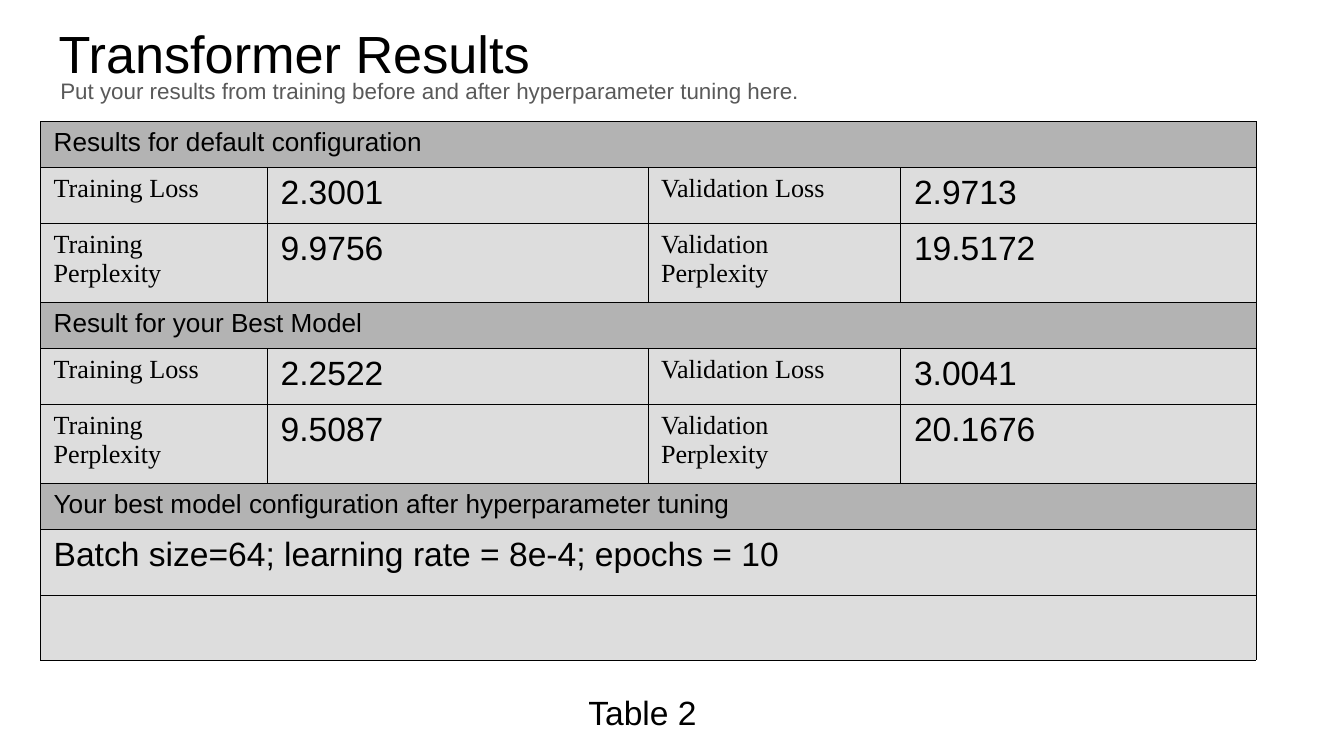
from dataclasses import dataclass

import pptx
import pptx.dml.color
import pptx.enum.text
import pptx.oxml
import pptx.oxml.ns
import pptx.util

Cm = pptx.util.Cm
RGB = pptx.dml.color.RGBColor.from_string


@dataclass(frozen=True)
class Theme:
    ink: str = "000000"
    muted: str = "595959"
    band: str = "B3B3B3"
    cell: str = "DDDDDD"
    sans: str = "Arial"
    serif: str = "Times New Roman"
    title: int = 28
    value: int = 18
    label: int = 14
    note: int = 12
    border: float = 0.06


theme = Theme()


def write(tf, text, size, color=theme.ink, font=theme.sans):
    tf.word_wrap = True
    tf.vertical_anchor = pptx.enum.text.MSO_ANCHOR.TOP
    p = tf.paragraphs[0]
    p.text = text
    p.alignment = pptx.enum.text.PP_ALIGN.LEFT
    p.font.size = pptx.util.Pt(size)
    p.font.name = font
    p.font.color.rgb = RGB(color)


def style_cell(cell, color):
    cell.fill.solid()
    cell.fill.fore_color.rgb = RGB(color)
    tcPr = cell._tc.get_or_add_tcPr()
    for i, side in enumerate("LRTB"):
        tcPr.insert(i, pptx.oxml.parse_xml(
            f'<a:ln{side} {pptx.oxml.ns.nsdecls("a")} w="{pptx.util.Pt(theme.border)}">'
            f'<a:solidFill><a:srgbClr val="{theme.ink}"/></a:solidFill></a:ln{side}>'))


prs = pptx.Presentation()
prs.slide_width, prs.slide_height = Cm(25.4), Cm(14.29)
s = prs.slides.add_slide(prs.slide_layouts[5])

title = s.shapes.title
title.left, title.top, title.width, title.height = Cm(0.86), Cm(0.03), Cm(23.67), Cm(1.57)
tf = title.text_frame
tf.auto_size = pptx.enum.text.MSO_AUTO_SIZE.NONE
tf.margin_left = tf.margin_right = tf.margin_bottom = Cm(0.25)
tf.margin_top = Cm(0.38)
write(tf, "Transformer Results", theme.title)

header, losses, perplexities, config = 0.87, 1.06, 1.49, 1.24
rows = [
    (header, ["Results for default configuration"]),
    (losses, ["Training Loss", "2.3001", "Validation Loss", "2.9713"]),
    (perplexities, ["Training\vPerplexity", "9.9756", "Validation\vPerplexity", "19.5172"]),
    (header, ["Result for your Best Model"]),
    (losses, ["Training Loss", "2.2522", "Validation Loss", "3.0041"]),
    (perplexities, ["Training\vPerplexity", "9.5087", "Validation\vPerplexity", "20.1676"]),
    (header, ["Your best model configuration after hyperparameter tuning"]),
    (config, ["Batch size=64; learning rate = 8e-4; epochs = 10"]),
    (config, [""]),
]
widths = [4.29, 7.19, 4.78, 6.71]

table = s.shapes.add_table(len(rows), len(widths), Cm(0.76), Cm(2.29),
                           Cm(sum(widths)), Cm(sum(h for h, _ in rows))).table
table.first_row = table.horz_banding = False
for column, width in zip(table.columns, widths):
    column.width = Cm(width)
for r, (height, texts) in enumerate(rows):
    table.rows[r].height = Cm(height)
    is_header = height == header
    for c in range(len(widths)):
        style_cell(table.cell(r, c), theme.band if is_header else theme.cell)
    if len(texts) == 1:
        table.cell(r, 0).merge(table.cell(r, len(widths) - 1))
    for c, text in enumerate(texts):
        is_label = len(texts) > 1 and c % 2 == 0
        write(table.cell(r, c).text_frame, text,
              theme.label if is_header or is_label else theme.value,
              font=theme.serif if is_label else theme.sans)

for text, left, top, width, height, size, color in [
    ("Put your results from training before and after hyperparameter tuning here.",
     0.89, 1.33, 21.62, 0.97, theme.note, theme.muted),
    ("Table 2", 10.87, 12.96, 2.8, 1.02, theme.value, theme.ink),
]:
    tb = s.shapes.add_textbox(Cm(left), Cm(top), Cm(width), Cm(height))
    write(tb.text_frame, text, size, color)

prs.save("out.pptx")
